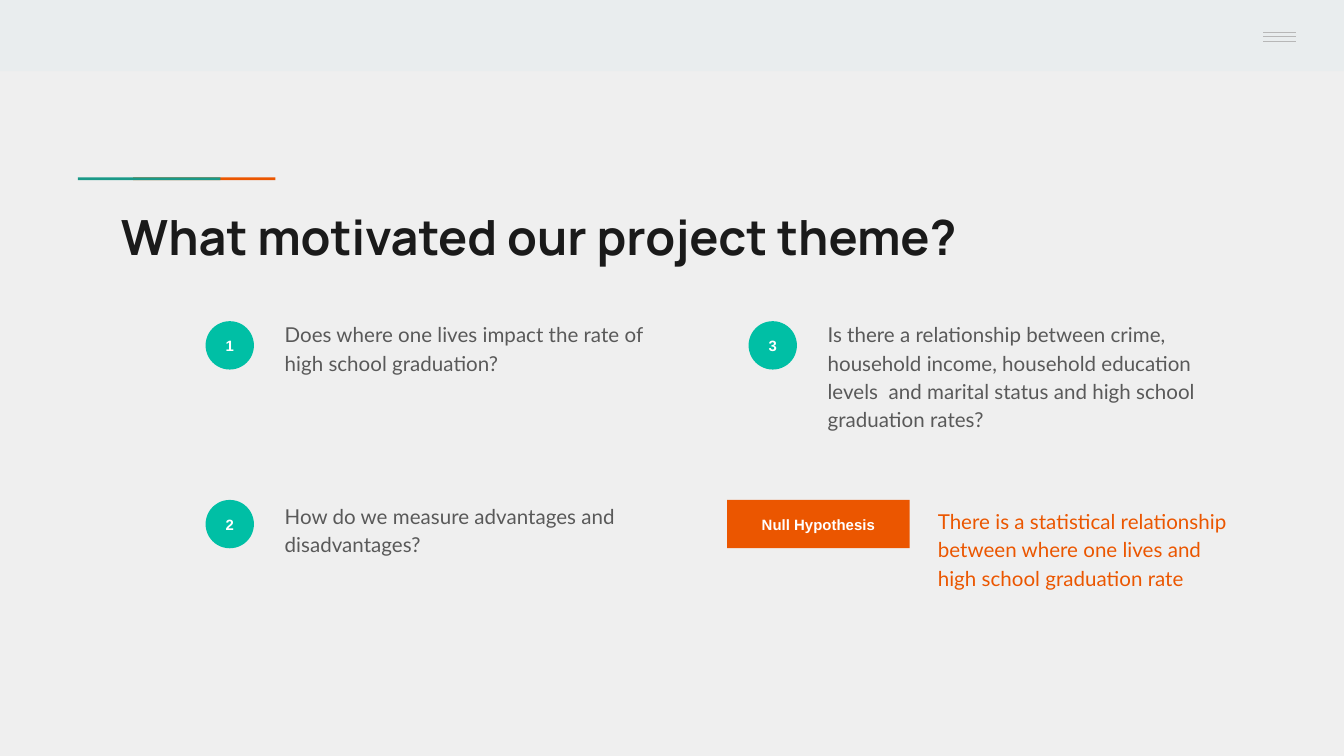
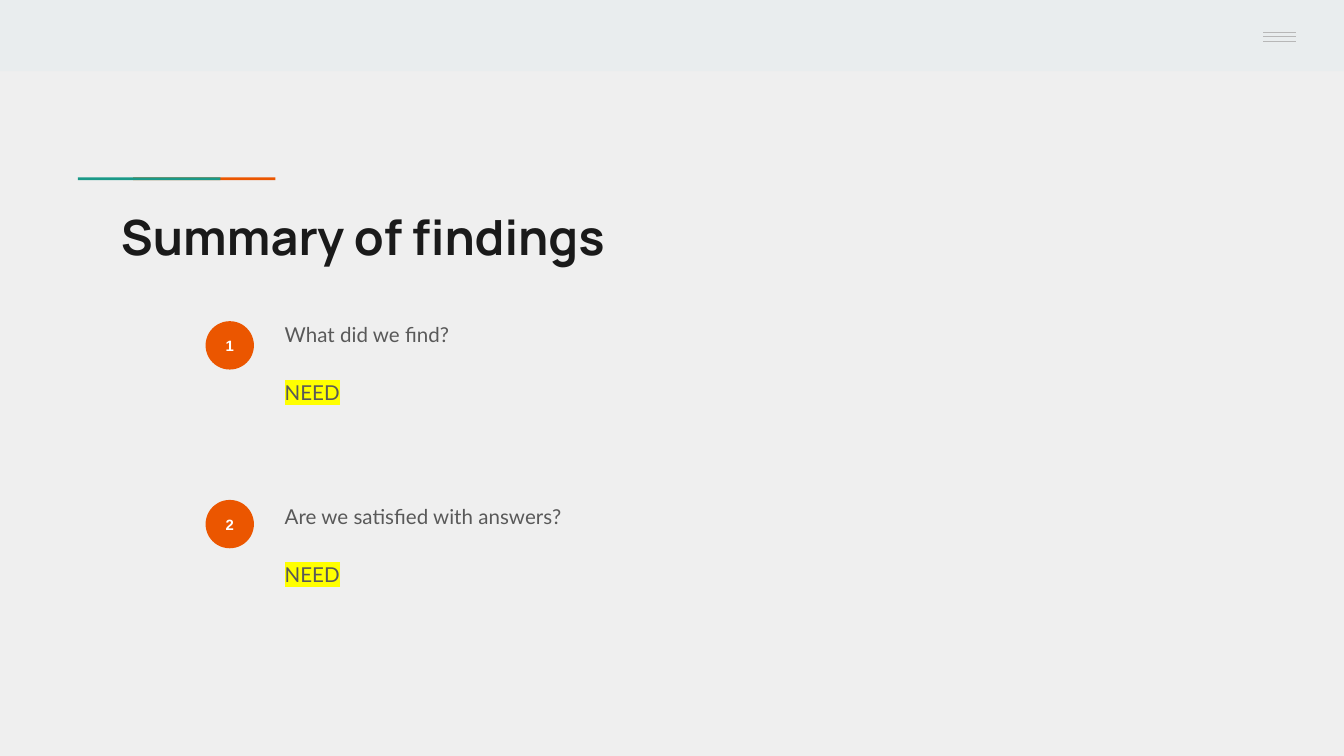
"""Build two project slides: the motivating questions and the summary of findings."""
from lxml import etree
from pptx import Presentation
from pptx import util as u
from pptx.dml.color import RGBColor
from pptx.enum import shapes, text
from pptx.oxml import ns

COLORS = {
    "background": "EFEFEF", "band": "E9EDEE", "menu": "B7B7B7",
    "teal": "1A9988", "mint": "00BFA5", "orange": "EB5600",
    "title": "1A1A1A", "body": "595959", "white": "FFFFFF", "marker": "FFFF00",
}
RGB = {name: RGBColor.from_string(value) for name, value in COLORS.items()}
WIDTH = 10
HEIGHT = WIDTH * 9 / 16
COLUMN_STEP = 4.04
BADGE_LEFT, BADGE_SIZE, BADGE_ROWS = 1.53, 0.36, (2.39, 3.72)
TEXT_LEFT, TEXT_WIDTH, TEXT_HEIGHT, TEXT_ROWS = 2.02, 3.1, 1.15, (2.27, 3.62)
OVAL, RECTANGLE = shapes.MSO_SHAPE.OVAL, shapes.MSO_SHAPE.RECTANGLE

SLIDES = [
    {
        "title": "What motivated our project theme?",
        "badge": "mint",
        "items": [
            (0, 0, ["Does where one lives impact the rate of high school graduation?"]),
            (0, 1, ["How do we measure advantages and disadvantages?"]),
            (1, 0, ["Is there a relationship between crime, household income, household "
                    "education levels  and marital status and high school graduation rates?"]),
        ],
        "hypothesis": ("Null Hypothesis", "There is a statistical relationship between "
                       "where one lives and high school graduation rate"),
    },
    {
        "title": "Summary of findings",
        "badge": "orange",
        "items": [
            (0, 0, ["What did we find?", "NEED"]),
            (0, 1, ["Are we satisfied with answers?", "NEED"]),
        ],
    },
]


def add_block(slide, kind, box, color, label=""):
    """Add a filled shape, with a centred bold label if one is given."""
    shape = slide.shapes.add_shape(kind, *map(u.Inches, box))
    shape.shadow.inherit = False
    shape.fill.solid()
    shape.fill.fore_color.rgb = RGB[color]
    shape.line.fill.background()
    if label:
        frame = shape.text_frame
        frame.text = label
        frame.word_wrap = kind == RECTANGLE
        frame.vertical_anchor = text.MSO_ANCHOR.MIDDLE
        frame.margin_left = frame.margin_right = u.Inches(0.1)
        frame.margin_top = frame.margin_bottom = u.Inches(0.1)
        paragraph = frame.paragraphs[0]
        paragraph.alignment = text.PP_ALIGN.CENTER
        font = paragraph.runs[0].font
        font.name, font.size, font.bold = "Arial", u.Pt(8), True
        font.color.rgb = RGB["white"]


def add_body(slide, box, lines, color):
    """Add body text whose second line, if any, is highlighted."""
    frame = slide.shapes.add_textbox(*map(u.Inches, box)).text_frame
    frame.word_wrap = True
    frame.margin_top = frame.margin_bottom = u.Inches(0.1)
    frame.text = "\n".join(lines)
    for index, paragraph in enumerate(frame.paragraphs):
        paragraph.line_spacing = 1.15
        run = paragraph.runs[0]
        run.font.name, run.font.size = "Lato", u.Pt(11)
        run.font.color.rgb = RGB[color]
        if index:
            paragraph.space_before = u.Pt(16)
            fill = run._r.get_or_add_rPr().find(ns.qn("a:solidFill"))
            highlight = etree.Element(ns.qn("a:highlight"))
            etree.SubElement(highlight, ns.qn("a:srgbClr"), val=COLORS["marker"])
            fill.addnext(highlight)
    frame.paragraphs[-1].space_after = u.Pt(16)


presentation = Presentation()
presentation.slide_width, presentation.slide_height = u.Inches(WIDTH), u.Inches(HEIGHT)
background = presentation.slide_master.background.fill
background.solid()
background.fore_color.rgb = RGB["background"]

for content in SLIDES:
    slide = presentation.slides.add_slide(presentation.slide_layouts[5])

    add_block(slide, RECTANGLE, (0, 0, WIDTH, 0.53), "band")
    add_block(slide, RECTANGLE, (0.99, 1.32, 1.06, 0.02), "orange")
    add_block(slide, RECTANGLE, (0.58, 1.32, 1.06, 0.02), "teal")
    for y in (0.24, 0.27, 0.31):
        line = slide.shapes.add_connector(
            shapes.MSO_CONNECTOR.STRAIGHT, *map(u.Inches, (9.4, y, 9.64, y)))
        line.line.color.rgb = RGB["menu"]
        line.line.width = u.Pt(0.75)
        etree.SubElement(line._element.spPr, ns.qn("a:effectLst"))

    title = slide.shapes.title
    title.left, title.top, title.width, title.height = map(u.Inches, (0.8, 1.44, 8.41, 0.59))
    frame = title.text_frame
    frame.text = content["title"]
    frame.auto_size = text.MSO_AUTO_SIZE.NONE
    frame.vertical_anchor = text.MSO_ANCHOR.TOP
    frame.margin_top = frame.margin_bottom = u.Inches(0.1)
    frame.paragraphs[0].alignment = text.PP_ALIGN.LEFT
    font = frame.paragraphs[0].runs[0].font
    font.name, font.size, font.bold = "Manrope", u.Pt(26), True
    font.color.rgb = RGB["title"]

    for number, (column, row, lines) in enumerate(content["items"], 1):
        shift = column * COLUMN_STEP
        add_block(slide, OVAL, (BADGE_LEFT + shift, BADGE_ROWS[row], BADGE_SIZE, BADGE_SIZE),
                  content["badge"], str(number))
        add_body(slide, (TEXT_LEFT + shift, TEXT_ROWS[row], TEXT_WIDTH, TEXT_HEIGHT),
                 lines, "body")

    if "hypothesis" in content:
        label, statement = content["hypothesis"]
        add_block(slide, RECTANGLE, (5.41, BADGE_ROWS[1], 1.36, BADGE_SIZE), "orange", label)
        add_body(slide, (6.88, 3.66, 2.43, 0.91), [statement], "orange")

presentation.save("out.pptx")
